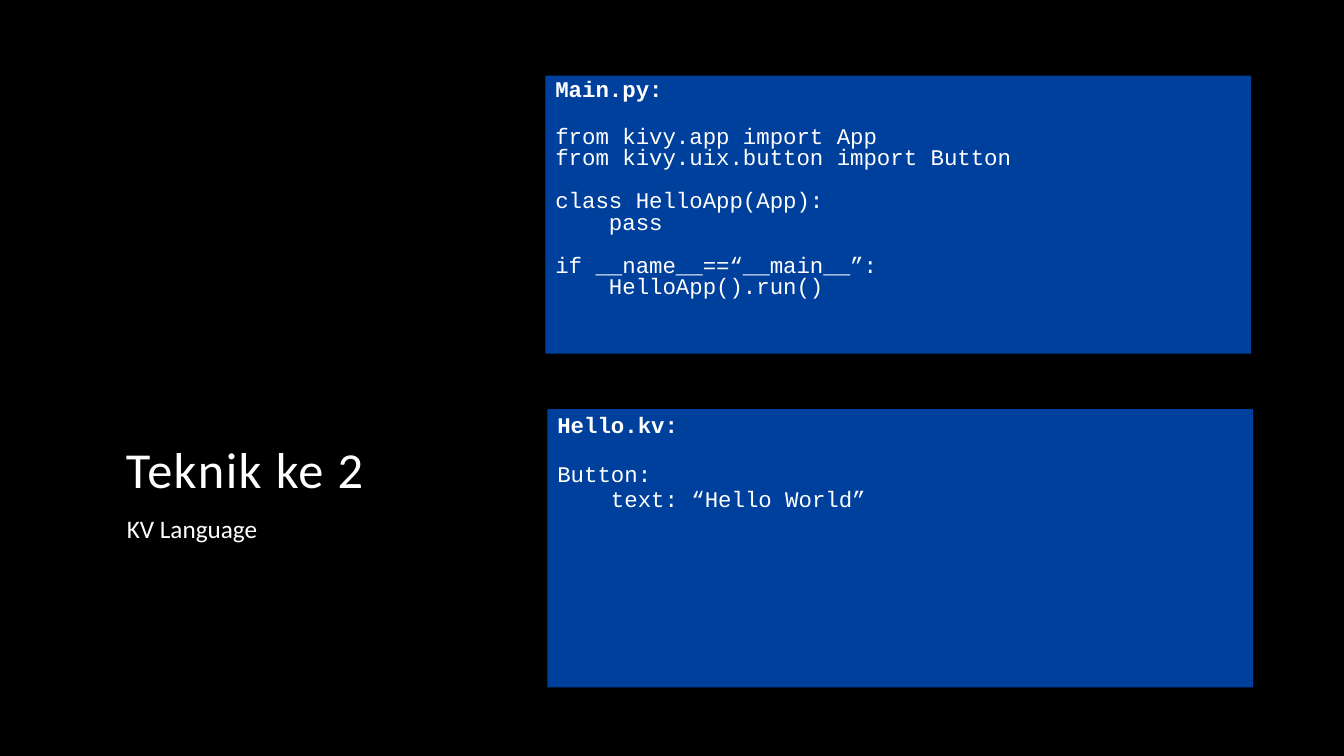
"""Build a slide that shows a Kivy app next to its KV language file."""
from copy import deepcopy
from dataclasses import dataclass

from pptx import Presentation
from pptx.dml.color import RGBColor
from pptx.enum.shapes import MSO_SHAPE
from pptx.enum.text import MSO_ANCHOR, PP_ALIGN
from pptx.oxml.ns import qn
from pptx.slide import Slide
from pptx.text.text import TextFrame
from pptx.util import Inches, Pt

BLACK = RGBColor(0x00, 0x00, 0x00)
WHITE = RGBColor(0xFF, 0xFF, 0xFF)
BLUE = RGBColor(0x00, 0x40, 0x9D)
RECT = MSO_SHAPE.RECTANGLE
LEFT = PP_ALIGN.LEFT
TOP, BOTTOM = MSO_ANCHOR.TOP, MSO_ANCHOR.BOTTOM
BODY_FONT, CODE_FONT = "Calibri", "Courier New"
PANEL_W, PANEL_H = 7, 2.76

MAIN_CODE = """from kivy.app import App
from kivy.uix.button import Button

class HelloApp(App):
    pass

if __name__==“__main__”:
    HelloApp().run()"""

KV_CODE = """Button:
    text: “Hello World”"""


@dataclass
class Label:
    text: str
    left: float
    top: float
    width: float
    height: float
    size: int
    anchor: MSO_ANCHOR = TOP
    tracking: int = 0


@dataclass
class CodePanel:
    name: str
    code: str
    left: float
    top: float
    spacing: float


LABELS = [
    Label("Teknik ke 2", 1.15, 2.08, 3.93, 2.92, 36, BOTTOM, 100),
    Label("KV Language", 1.16, 5.08, 3.92, 1.5, 18),
]
PANELS = [
    CodePanel("Main.py:", MAIN_CODE, 5.41, 0.75, 0.8),
    CodePanel("Hello.kv:", KV_CODE, 5.43, 4.06, 0.9),
]


def write(tf: TextFrame, text: str, *, size: int, font: str = BODY_FONT,
          bold: bool = False, spacing: float = 0.9, before: int = 0,
          tracking: int = 0, new: bool = False) -> None:
    p = tf.add_paragraph() if new else tf.paragraphs[0]
    p.text = text
    p.alignment = LEFT
    p.line_spacing = spacing
    p.space_before = Pt(before)
    for r in p.runs:
        r.font.name = font
        r.font.size = Pt(size)
        r.font.bold = bold
        r.font.color.rgb = WHITE
        if tracking:
            r.font._element.set("spc", str(tracking))
    for br in p._p.findall(qn("a:br")):
        br.append(deepcopy(p.runs[0].font._element))


def add_label(s: Slide, label: Label) -> None:
    sp = s.shapes.add_textbox(Inches(label.left), Inches(label.top),
                              Inches(label.width), Inches(label.height))
    tf = sp.text_frame
    tf.word_wrap = True
    tf.vertical_anchor = label.anchor
    write(tf, label.text, size=label.size, tracking=label.tracking)


def add_panel(s: Slide, panel: CodePanel) -> None:
    sp = s.shapes.add_shape(RECT, Inches(panel.left), Inches(panel.top),
                            Inches(PANEL_W), Inches(PANEL_H))
    sp.shadow.inherit = False
    sp.fill.solid()
    sp.fill.fore_color.rgb = BLUE
    sp.line.fill.background()
    tf = sp.text_frame
    tf.word_wrap = True
    tf.vertical_anchor = TOP
    write(tf, panel.name, size=16, font=CODE_FONT, bold=True,
          spacing=panel.spacing)
    write(tf, panel.code, size=16, font=CODE_FONT, spacing=panel.spacing,
          before=18, new=True)


def main() -> None:
    prs = Presentation()
    prs.slide_width, prs.slide_height = Inches(13.33), Inches(7.5)
    s = prs.slides.add_slide(prs.slide_layouts[6])
    s.background.fill.solid()
    s.background.fill.fore_color.rgb = BLACK
    for label in LABELS:
        add_label(s, label)
    for panel in PANELS:
        add_panel(s, panel)
    prs.save("out.pptx")


if __name__ == "__main__":
    main()
